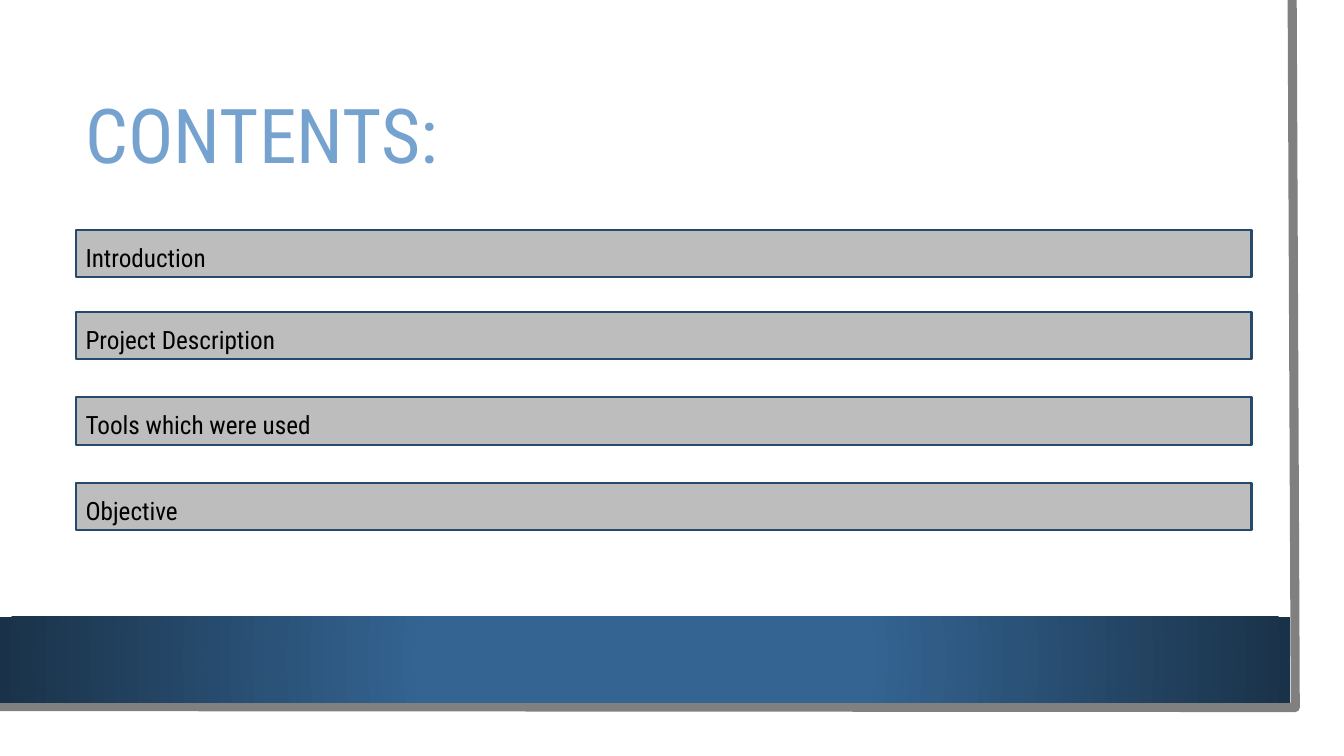
from lxml import etree
from pptx import Presentation
from pptx import util as u
from pptx.dml.color import RGBColor
from pptx.enum import shapes, text
from pptx.oxml import parse_xml
from pptx.oxml.ns import nsdecls, qn

# Content: each entry with the top of its bar, in points
TITLE = "CONTENTS:"
ENTRIES = [
    ("Introduction", 164),
    ("Project Description", 222.6),
    ("Tools which were used", 283.6),
    ("Objective", 344.8),
]

THEME = {
    "font": "Roboto Condensed",
    "title_size": 54, "entry_size": 18,
    "title": "75A2CE", "entry": "000000",
    "bar": "000000", "bar_alpha": 26, "bar_line": "264A6C",
    "edge": "808080", "band_centre": "346492", "band_rim": "1A3249",
}

# Geometry in points
SLIDE_SIZE = (960, 540)
LEFT, BAR_WIDTH, BAR_HEIGHT = 54, 840, 34
LABEL_DROP, LABEL_HEIGHT = 5.3, 29
TITLE_BOX = (LEFT, 54, 818.6, 90.7)
BAND_BOX = (0, 440.6, 921.6, 61.5)
EDGE_POINTS = [(923, 0), (925.2, 505.4), (-2.2, 504.7)]


def color(name):
    return RGBColor.from_string(THEME[name])


def points(values):
    return [u.Pt(value) for value in values]


def add_bar(page, box):
    bar = page.shapes.add_shape(shapes.MSO_SHAPE.RECTANGLE, *points(box))
    bar.shadow.inherit = False
    return bar


def style_text(para, size, name):
    for span in para.runs:
        span.font.name = THEME["font"]
        span.font.size = u.Pt(THEME[size])
        span.font.color.rgb = color(name)


def add_edge(page):
    builder = page.shapes.build_freeform(*points(EDGE_POINTS[0]))
    builder.add_line_segments([points(p) for p in EDGE_POINTS[1:]], close=False)
    edge = builder.convert_to_shape()
    edge.shadow.inherit = False
    edge.fill.background()
    edge.line.color.rgb = color("edge")
    edge.line.width = u.Pt(6.5)


def add_band(page):
    band = add_bar(page, BAND_BOX)
    band.line.fill.background()
    band.fill.background()
    gradient = parse_xml(
        f'<a:gradFill {nsdecls("a")} rotWithShape="1"><a:gsLst>'
        f'<a:gs pos="34000"><a:srgbClr val="{THEME["band_centre"]}"/></a:gs>'
        f'<a:gs pos="100000"><a:srgbClr val="{THEME["band_rim"]}"/></a:gs>'
        '</a:gsLst><a:path path="circle">'
        '<a:fillToRect l="50000" t="50000" r="50000" b="50000"/>'
        '</a:path></a:gradFill>')
    properties = band.element.spPr
    properties.replace(properties.find(qn("a:noFill")), gradient)


def add_title(page):
    title = page.shapes.title
    title.left, title.top, title.width, title.height = points(TITLE_BOX)
    frame = title.text_frame
    frame.text = TITLE
    frame.vertical_anchor = text.MSO_ANCHOR.MIDDLE
    para = frame.paragraphs[0]
    para.alignment = text.PP_ALIGN.LEFT
    para.line_spacing = 0.9
    style_text(para, "title_size", "title")


def add_entry(page, label, top):
    bar = add_bar(page, (LEFT, top, BAR_WIDTH, BAR_HEIGHT))
    bar.fill.solid()
    bar.fill.fore_color.rgb = color("bar")
    tint = bar.element.spPr.find(qn("a:solidFill")).find(qn("a:srgbClr"))
    etree.SubElement(tint, qn("a:alpha"), val=str(THEME["bar_alpha"] * 1000))
    bar.line.color.rgb = color("bar_line")
    bar.line.width = u.Pt(1.5)

    box = page.shapes.add_textbox(
        *points((LEFT, top + LABEL_DROP, BAR_WIDTH, LABEL_HEIGHT)))
    frame = box.text_frame
    frame.word_wrap = True
    frame.auto_size = text.MSO_AUTO_SIZE.SHAPE_TO_FIT_TEXT
    frame.text = label
    style_text(frame.paragraphs[0], "entry_size", "entry")


def main():
    deck = Presentation()
    deck.slide_width, deck.slide_height = points(SLIDE_SIZE)
    page = deck.slides.add_slide(deck.slide_layouts.get_by_name("Title Only"))

    # Frame
    add_edge(page)
    add_band(page)

    # Title and contents
    add_title(page)
    for label, top in ENTRIES:
        add_entry(page, label, top)

    deck.save("out.pptx")


if __name__ == "__main__":
    main()
